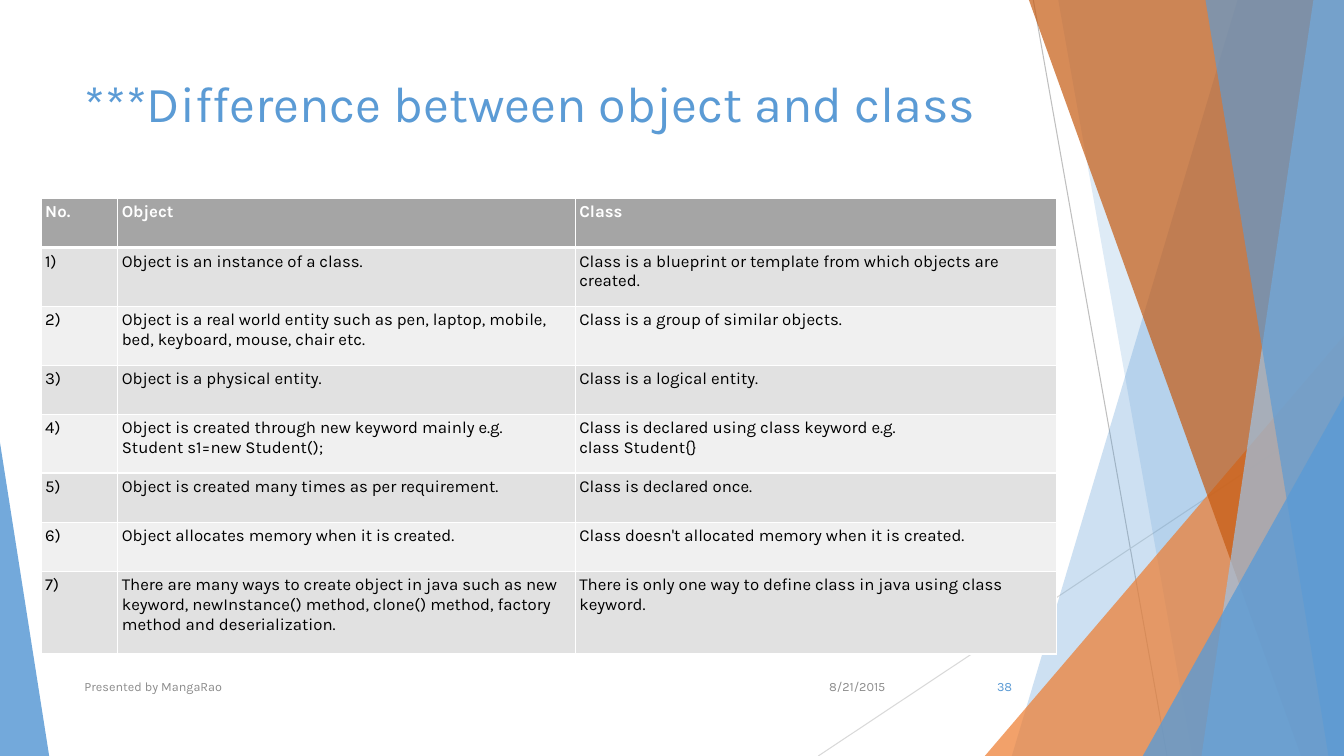
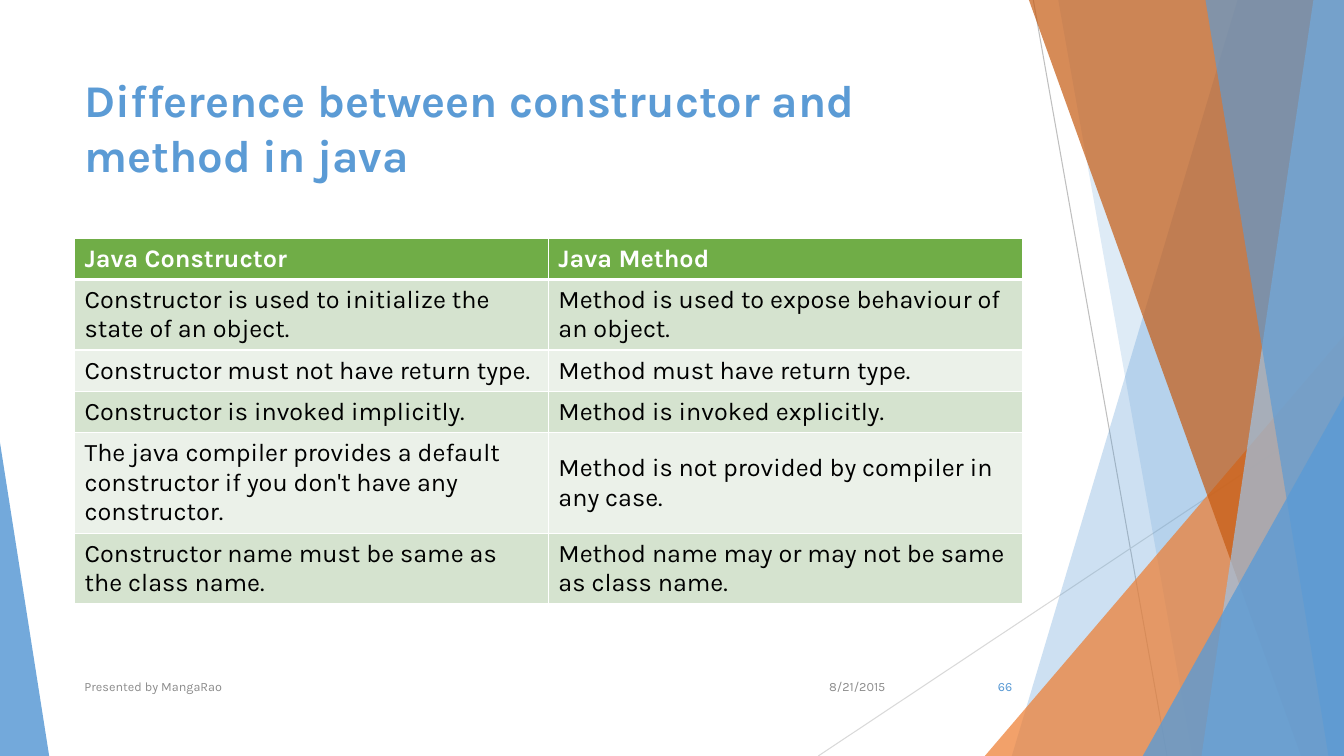
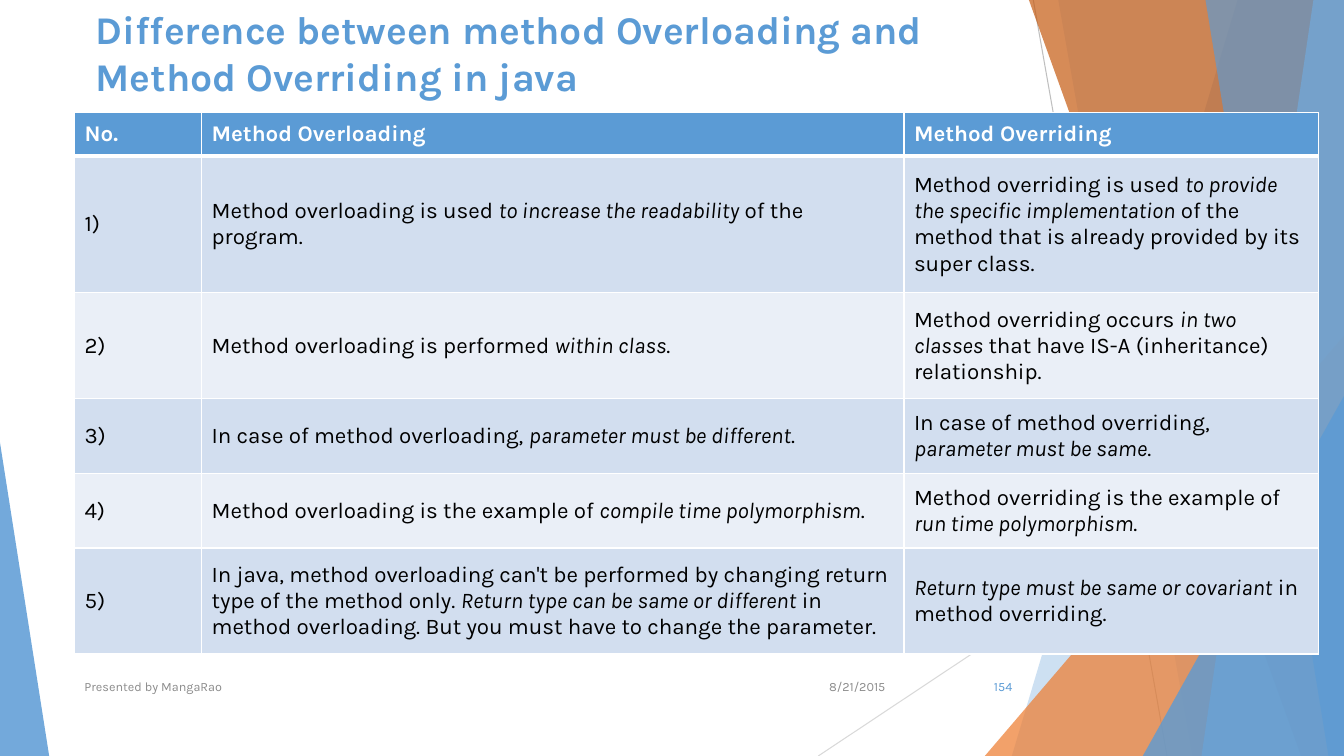
"""Builds three Java comparison slides that share one faceted frame."""
from lxml import etree
from pptx import Presentation
from pptx.dml.color import RGBColor
from pptx.enum.shapes import MSO_CONNECTOR, MSO_SHAPE
from pptx.enum.text import MSO_ANCHOR, PP_ALIGN
from pptx.oxml.ns import qn
from pptx.util import Cm, Pt

STRAIGHT = MSO_CONNECTOR.STRAIGHT
TRIANGLE = MSO_SHAPE.ISOSCELES_TRIANGLE
TOP, MIDDLE = MSO_ANCHOR.TOP, MSO_ANCHOR.MIDDLE
LEFT, RIGHT = PP_ALIGN.LEFT, PP_ALIGN.RIGHT

FONT = "Karla"
WHITE = RGBColor(0xFF, 0xFF, 0xFF)
BLACK = RGBColor(0x00, 0x00, 0x00)
BLUE = RGBColor(0x5B, 0x9B, 0xD5)
LIGHT_BLUE = RGBColor(0x9D, 0xC3, 0xE6)
ORANGE = RGBColor(0xED, 0x7D, 0x31)
DARK_ORANGE = RGBColor(0xC5, 0x5A, 0x11)
FOOTER_GRAY = RGBColor(0x8C, 0x8C, 0x8C)
LINE_GRAY = RGBColor(0xBF, 0xBF, 0xBF)
PALE_LINE_GRAY = RGBColor(0xD9, 0xD9, 0xD9)

GRAY_TABLE = (RGBColor(0xA5, 0xA5, 0xA5), RGBColor(0xE1, 0xE1, 0xE1), RGBColor(0xF0, 0xF0, 0xF0))
GREEN_TABLE = (RGBColor(0x70, 0xAD, 0x47), RGBColor(0xD5, 0xE3, 0xCF), RGBColor(0xEB, 0xF1, 0xE9))
BLUE_TABLE = (BLUE, RGBColor(0xD2, 0xDE, 0xEF), RGBColor(0xEA, 0xEF, 0xF7))

WIDTH, HEIGHT = 33.87, 19.05
TITLE_BOX = (1.88, 1.7, 23.88, 3.66)
FOOTER_BOX = (1.88, 16.79, 23.88, 1.02)

OBJECT_ROWS = [
    ("No.", "Object", "Class"),
    ("1)", "Object is an instance of a class.",
     "Class is a blueprint or template from which objects are created."),
    ("2)", "Object is a real world entity such as pen, laptop, mobile, bed, keyboard, mouse, chair etc.",
     "Class is a group of similar objects."),
    ("3)", "Object is a physical entity.", "Class is a logical entity."),
    ("4)", "Object is created through new keyword mainly e.g.\nStudent s1=new Student();",
     "Class is declared using class keyword e.g.\nclass Student{}"),
    ("5)", "Object is created many times as per requirement.", "Class is declared once."),
    ("6)", "Object allocates memory when it is created.",
     "Class doesn't allocated memory when it is created."),
    ("7)", "There are many ways to create object in java such as new keyword, "
     "newInstance() method, clone() method, factory method and deserialization.",
     "There is only one way to define class in java using class keyword."),
]
CONSTRUCTOR_ROWS = [
    ("Java Constructor", "Java Method"),
    ("Constructor is used to initialize the state of an object.",
     "Method is used to expose behaviour of an object."),
    ("Constructor must not have return type.", "Method must have return type."),
    ("Constructor is invoked implicitly.", "Method is invoked explicitly."),
    ("The java compiler provides a default constructor if you don't have any constructor.",
     "Method is not provided by compiler in any case."),
    ("Constructor name must be same as the class name.",
     "Method name may or may not be same as class name."),
]
OVERLOADING_ROWS = [
    ("No.", "Method Overloading", "Method Overriding"),
    ("1)", "Method overloading is used _to increase the readability_ of the program.",
     "Method overriding is used _to provide the specific implementation_ of the method "
     "that is already provided by its super class."),
    ("2)", "Method overloading is performed _within class_.",
     "Method overriding occurs _in two classes_ that have IS-A (inheritance) relationship."),
    ("3)", "In case of method overloading, _parameter must be different_.",
     "In case of method overriding, _parameter must be same_."),
    ("4)", "Method overloading is the example of _compile time polymorphism_.",
     "Method overriding is the example of _run time polymorphism_."),
    ("5)", "In java, method overloading can't be performed by changing return type of the "
     "method only. _Return type can be same or different_ in method overloading. "
     "But you must have to change the parameter.",
     "_Return type must be same or covariant_ in method overriding."),
]


def write_text(frame, text, size=9, color=BLACK, bold=False, align=LEFT, anchor=TOP):
    """Fill a text frame; underscores enclose italics and newlines break lines."""
    frame.word_wrap = True
    frame.vertical_anchor = anchor
    paragraph = frame.paragraphs[0]
    paragraph.alignment = align
    for line_index, line in enumerate(text.split("\n")):
        if line_index:
            paragraph.add_line_break()
        for part_index, part in enumerate(line.split("_")):
            if part:
                run = paragraph.add_run()
                run.text = part
                run.font.name = FONT
                run.font.size = Pt(size)
                run.font.bold = bold
                run.font.italic = part_index % 2 == 1
                run.font.color.rgb = color


def add_text(slide, box, text, **text_format):
    """Add a text box with formatted text."""
    shape = slide.shapes.add_textbox(*map(Cm, box))
    write_text(shape.text_frame, text, **text_format)


def paint(shape, color, opacity):
    """Give a shape a translucent fill without line or shadow."""
    shape.shadow.inherit = False
    shape.line.fill.background()
    shape.fill.solid()
    shape.fill.fore_color.rgb = color
    color_element = shape.fill._xPr.find(qn("a:solidFill"))[0]
    etree.SubElement(color_element, qn("a:alpha")).set("val", str(opacity * 1000))


def add_line(slide, start, end, color):
    """Add a thin line between two points."""
    line = slide.shapes.add_connector(STRAIGHT, *map(Cm, start + end))
    line.line.color.rgb = color
    line.line.width = Pt(0.75)
    etree.SubElement(line._element.spPr, qn("a:effectLst"))


def add_band(slide, top_x, bottom_x, color, opacity):
    """Add a full-height band from a slanted left edge to the right slide edge."""
    builder = slide.shapes.build_freeform(Cm(top_x), Cm(0))
    corners = [(WIDTH, 0), (WIDTH, HEIGHT), (bottom_x, HEIGHT)]
    builder.add_line_segments([(Cm(x), Cm(y)) for x, y in corners])
    paint(builder.convert_to_shape(), color, opacity)


def add_corner(slide, left, top, width, apex, color, opacity):
    """Add a right triangle that stands on the bottom slide edge."""
    shape = slide.shapes.add_shape(TRIANGLE, *map(Cm, (left, top, width, HEIGHT - top)))
    shape.adjustments[0] = apex
    paint(shape, color, opacity)


def add_facets(slide):
    """Draw the overlapping facets along the slide edges."""
    add_line(slide, (26.04, 0), (29.41, HEIGHT), LINE_GRAY)
    add_line(slide, (WIDTH, 10.24), (20.62, HEIGHT), PALE_LINE_GRAY)
    add_band(slide, 31.19, 25.5, BLUE, 30)
    add_band(slide, 26.67, 30.05, BLUE, 20)
    add_corner(slide, 24.82, 8.46, 9.05, 1, ORANGE, 72)
    add_band(slide, 25.93, 32.79, DARK_ORANGE, 70)
    add_band(slide, 33.1, 30.28, LIGHT_BLUE, 70)
    add_band(slide, 30.38, 33.48, BLUE, 65)
    add_corner(slide, 28.8, 9.98, 5.07, 1, BLUE, 80)
    add_corner(slide, 0, 11.15, 1.24, 0, BLUE, 85)


def add_footer(slide, box, number):
    """Place presenter, date and slide number inside the footer box."""
    left, top, width, height = box
    number_width, date_width = 1.9, 2.54
    add_text(slide, (left + 18.14, top, date_width, height), "8/21/2015",
             color=FOOTER_GRAY, align=RIGHT, anchor=MIDDLE)
    add_text(slide, (left, top, 17.5, height), "Presented by MangaRao",
             color=FOOTER_GRAY, anchor=MIDDLE)
    add_text(slide, (left + width - number_width, top, number_width, height), str(number),
             color=BLUE, align=RIGHT, anchor=MIDDLE)


def add_borders(cell, row_index):
    """Draw white cell borders, thick below the header row."""
    thick_side = {0: "lnB", 1: "lnT"}.get(row_index)
    properties = cell._tc.get_or_add_tcPr()
    for side in ("lnL", "lnR", "lnT", "lnB"):
        border = etree.SubElement(properties, qn("a:" + side))
        border.set("w", str(Pt(3 if side == thick_side else 1)))
        fill = etree.SubElement(border, qn("a:solidFill"))
        etree.SubElement(fill, qn("a:srgbClr")).set("val", str(WHITE))


def add_comparison(slide, position, rows, widths, heights, colors, size, anchor=MIDDLE, inset=None):
    """Add a table with a header row and alternating body fills."""
    box = (*position, sum(widths), sum(heights))
    table = slide.shapes.add_table(len(rows), len(widths), *map(Cm, box)).table
    for column, width in zip(table.columns, widths):
        column.width = Cm(width)
    header_fill, odd_fill, even_fill = colors
    for row_index, texts in enumerate(rows):
        table.rows[row_index].height = Cm(heights[row_index])
        is_header = row_index == 0
        body_fill = odd_fill if row_index % 2 else even_fill
        for column_index, text in enumerate(texts):
            cell = table.cell(row_index, column_index)
            add_borders(cell, row_index)
            cell.fill.solid()
            cell.fill.fore_color.rgb = header_fill if is_header else body_fill
            cell.vertical_anchor = anchor
            if inset is not None:
                cell.margin_left = cell.margin_right = Cm(inset)
                cell.margin_top = cell.margin_bottom = Cm(inset)
            write_text(cell.text_frame, text, size=size, bold=is_header,
                       color=WHITE if is_header else BLACK, anchor=anchor)


def add_slide(presentation, number, title, title_size, title_box=TITLE_BOX, bold=True, **table):
    """Add one comparison slide with facets, title, table and footer."""
    slide = presentation.slides.add_slide(presentation.slide_layouts[6])
    add_facets(slide)
    add_text(slide, title_box, title, size=title_size, color=BLUE, bold=bold)
    add_comparison(slide, **table)
    add_footer(slide, FOOTER_BOX, number)


def main():
    """Build and save the presentation."""
    presentation = Presentation()
    presentation.slide_width, presentation.slide_height = Cm(WIDTH), Cm(HEIGHT)
    add_slide(presentation, 38, "***Difference between object and class", 36, bold=False,
              position=(1.04, 5), rows=OBJECT_ROWS, widths=(1.93, 11.53, 12.12),
              heights=(1.24, 1.48, 1.48, 1.24, 1.48, 1.24, 1.24, 2.08),
              colors=GRAY_TABLE, size=12, anchor=TOP, inset=0.1)
    add_slide(presentation, 66, "Difference between constructor and method in java", 32.4,
              position=(1.88, 6), rows=CONSTRUCTOR_ROWS, widths=(11.94, 11.94),
              heights=(1.04, 1.74, 1.04, 1.04, 2.47, 1.74), colors=GREEN_TABLE, size=18)
    add_slide(presentation, 154, "Difference between method Overloading and Method Overriding in java",
              28, title_box=(2.16, 0, 23.88, 2.54),
              position=(1.88, 2.84), rows=OVERLOADING_ROWS, widths=(3.2, 17.7, 10.44),
              heights=(1.09, 3.45, 2.67, 1.88, 1.88, 2.67), colors=BLUE_TABLE, size=16)
    presentation.save("out.pptx")


if __name__ == "__main__":
    main()
